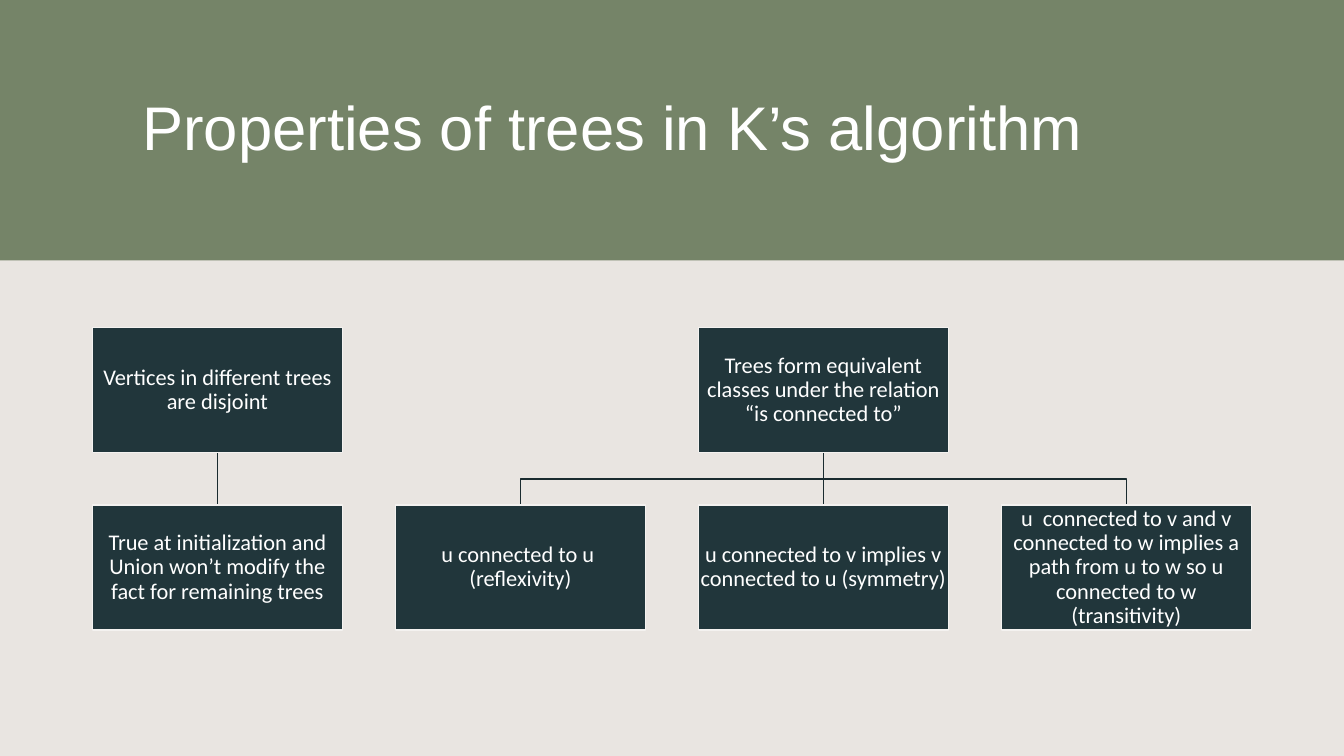
"""Build a slide showing the properties of trees in K's algorithm as two hierarchies."""
import pptx
import pptx.util
import pptx.dml.color
import pptx.enum.shapes
import pptx.enum.text
import pptx.oxml.ns
import lxml.etree

Pt = pptx.util.Pt
RGB = pptx.dml.color.RGBColor
ALIGN = pptx.enum.text.PP_ALIGN
MIDDLE = pptx.enum.text.MSO_ANCHOR.MIDDLE
RECT = pptx.enum.shapes.MSO_SHAPE.RECTANGLE
STRAIGHT = pptx.enum.shapes.MSO_CONNECTOR.STRAIGHT

TITLE = "Properties of trees in K’s algorithm"
TREES = [
    (0, "Vertices in different trees are disjoint",
     [(0, "True at initialization and Union won’t modify the fact for remaining trees")]),
    (2, "Trees form equivalent classes under the relation “is connected to”",
     [(1, "u connected to u  (reflexivity)"),
      (2, "u connected to v implies v connected to u (symmetry)"),
      (3, "u  connected to v and v connected to w implies a path from u to w "
          "so u connected to w (transitivity)")]),
]

BACKGROUND = RGB(0xE9, 0xE5, 0xE1)
BAND = RGB(0x75, 0x84, 0x68)
BOX = RGB(0x21, 0x36, 0x3B)
BORDER = RGB(0xF4, 0xF2, 0xF0)
BRANCH = RGB(0x1A, 0x2B, 0x2F)
WHITE = RGB(0xFF, 0xFF, 0xFF)

SLIDE_W, SLIDE_H, BAND_H = 960, 540, 186
LEFT, PITCH = 66, 216.4
BOX_W, BOX_H = 178.6, 89.3
ROOT_TOP, CHILD_TOP = 234, 360.8
ROOT_BOTTOM = ROOT_TOP + BOX_H
MID_Y = (ROOT_BOTTOM + CHILD_TOP) / 2
INSET = Pt(0.7)

BOX_FRAME = {"word_wrap": True, "vertical_anchor": MIDDLE, "margin_left": INSET,
             "margin_right": INSET, "margin_top": INSET, "margin_bottom": INSET}
BOX_PARA = {"alignment": ALIGN.CENTER, "line_spacing": 0.9}
BOX_FONT = {"size": Pt(16), "name": "Calibri"}
TITLE_BOX = {"left": Pt(94.5), "top": Pt(30), "width": Pt(787.5), "height": Pt(126)}
TITLE_FRAME = {"word_wrap": True, "vertical_anchor": MIDDLE}
TITLE_PARA = {"alignment": ALIGN.LEFT, "line_spacing": 0.9}
TITLE_FONT = {"size": Pt(44), "name": "Arial"}


def apply(target, values):
    for name, value in values.items():
        setattr(target, name, value)


def write(sp, text, frame, para, font):
    tf = sp.text_frame
    apply(tf, frame)
    p = tf.paragraphs[0]
    apply(p, para)
    r = p.add_run()
    r.text = text
    apply(r.font, font)
    r.font.color.rgb = WHITE


def add_rect(s, left, top, width, height, fill):
    sp = s.shapes.add_shape(RECT, Pt(left), Pt(top), Pt(width), Pt(height))
    sp.shadow.inherit = False
    sp.fill.solid()
    sp.fill.fore_color.rgb = fill
    sp.line.fill.background()
    return sp


def add_box(s, column, top, text):
    sp = add_rect(s, LEFT + column * PITCH, top, BOX_W, BOX_H, BOX)
    sp.line.color.rgb = BORDER
    sp.line.width = Pt(1)
    write(sp, text, BOX_FRAME, BOX_PARA, BOX_FONT)


def add_branch(s, root, child):
    x1, x2 = (Pt(LEFT + c * PITCH + BOX_W / 2) for c in (root, child))
    y1, mid, y2 = Pt(ROOT_BOTTOM), Pt(MID_Y), Pt(CHILD_TOP)
    if root == child:
        sp = s.shapes.add_connector(STRAIGHT, x1, y1, x2, y2)
        lxml.etree.SubElement(sp.element.spPr, pptx.oxml.ns.qn("a:effectLst"))
    else:
        path_builder = s.shapes.build_freeform(x1, y1)
        path_builder.add_line_segments([(x1, mid), (x2, mid), (x2, y2)], close=False)
        sp = path_builder.convert_to_shape()
        sp.fill.background()
        sp.shadow.inherit = False
    sp.line.color.rgb = BRANCH
    sp.line.width = Pt(1)


def main():
    prs = pptx.Presentation()
    prs.slide_width, prs.slide_height = Pt(SLIDE_W), Pt(SLIDE_H)
    s = prs.slides.add_slide(prs.slide_layouts[5])
    s.background.fill.solid()
    s.background.fill.fore_color.rgb = BACKGROUND

    title = s.shapes.title
    apply(title, TITLE_BOX)
    write(title, TITLE, TITLE_FRAME, TITLE_PARA, TITLE_FONT)
    band = add_rect(s, 0, 0, SLIDE_W, BAND_H, BAND)
    title.element.addprevious(band.element)

    for root, text, children in TREES:
        for column, _ in children:
            add_branch(s, root, column)
        add_box(s, root, ROOT_TOP, text)
        for column, child_text in children:
            add_box(s, column, CHILD_TOP, child_text)
    prs.save("out.pptx")


if __name__ == "__main__":
    main()
